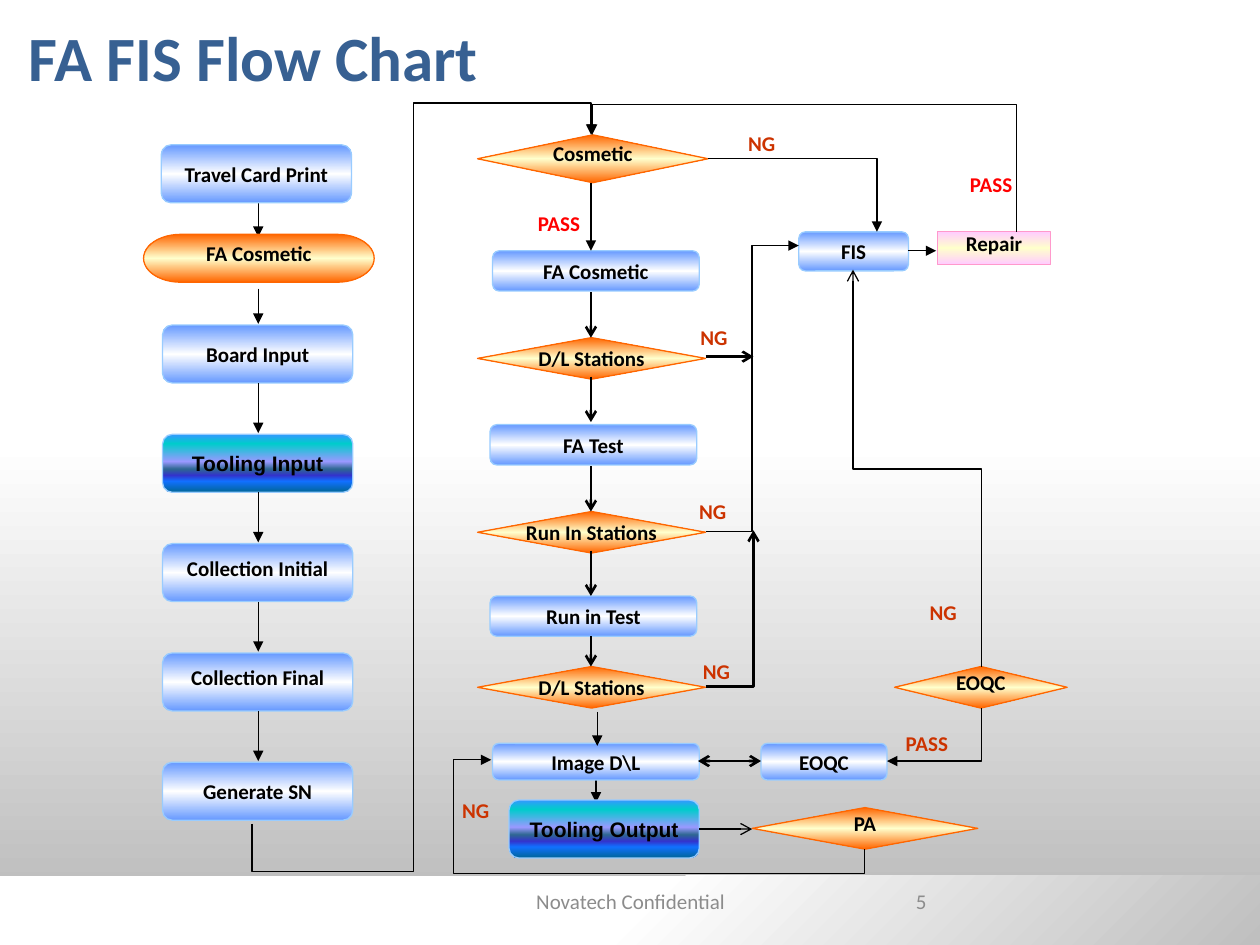
from collections import namedtuple

from lxml import etree
from pptx import Presentation
from pptx.dml.color import RGBColor
from pptx.enum.shapes import MSO_CONNECTOR, MSO_SHAPE
from pptx.enum.text import MSO_ANCHOR, PP_ALIGN
from pptx.oxml import parse_xml
from pptx.oxml.ns import nsdecls, qn
from pptx.util import Inches, Pt

BLACK = RGBColor(0x00, 0x00, 0x00)
WHITE = RGBColor(0xFF, 0xFF, 0xFF)
SILVER = RGBColor(0xBF, 0xBF, 0xBF)
FOOTER_GREY = RGBColor(0x8C, 0x8C, 0x8C)
TITLE_BLUE = RGBColor(0x37, 0x60, 0x92)
RED = RGBColor(0xFF, 0x00, 0x00)
BRICK = RGBColor(0xCC, 0x33, 0x00)
BLUE = RGBColor(0x66, 0x99, 0xFF)
SKY = RGBColor(0x99, 0xCC, 0xFF)
ORANGE = RGBColor(0xFF, 0x66, 0x00)
CREAM = RGBColor(0xFF, 0xFF, 0xCC)
PINK = RGBColor(0xFF, 0xCC, 0xFF)
ROSE = RGBColor(0xFF, 0x99, 0xCC)
TOOLING_STOPS = [
    (0, RGBColor(0x33, 0x99, 0xFF)), (16, RGBColor(0x00, 0xCC, 0xCC)),
    (47, RGBColor(0x99, 0x99, 0xFF)), (60, RGBColor(0x2E, 0x67, 0x92)),
    (71, RGBColor(0x33, 0x33, 0xCC)), (81, RGBColor(0x11, 0x70, 0xFF)),
    (100, RGBColor(0x00, 0x66, 0x99)),
]
BACKDROP_STOPS = [(0, SILVER), (50, WHITE)]
DOWNWARD = '<a:lin ang="5400000" scaled="0"/>'
UPWARD = '<a:lin ang="16200000" scaled="0"/>'
FROM_CORNER = '<a:path path="circle"><a:fillToRect l="100000" t="100000"/></a:path>'


def band(edge, middle):
    return [(0, edge), (50, middle), (100, edge)]


Style = namedtuple("Style", "geometry stops border font")
STEP = Style(MSO_SHAPE.ROUNDED_RECTANGLE, band(BLUE, WHITE), SKY, "Calibri")
TOOLING = Style(MSO_SHAPE.ROUNDED_RECTANGLE, TOOLING_STOPS, SKY, "Arial")
CHECK = Style(MSO_SHAPE.DIAMOND, band(ORANGE, CREAM), ORANGE, "Calibri")
TERMINAL = Style(MSO_SHAPE.FLOWCHART_TERMINATOR, band(ORANGE, CREAM), ORANGE, "Calibri")
REPAIR = Style(MSO_SHAPE.RECTANGLE, band(PINK, CREAM), ROSE, "Calibri")

STEP_TOP = 2.58
STEP_PITCH = (6.05 - STEP_TOP) / 4
MAIN_X = 4.69
NODES = [
    (STEP, "Travel Card Print", 1.28, 1.15, 1.51, 0.46, 1),
    (TERMINAL, "FA Cosmetic", 1.14, 1.86, 1.83, 0.38, 0.4),
    (CHECK, "Cosmetic", 3.79, 1.07, 1.83, 0.38, 0.4),
    (STEP, "FA Cosmetic", 3.91, 1.99, 1.64, 0.32, 1),
    (CHECK, "D/L Stations", 3.79, 2.68, 1.81, 0.33, 1),
    (STEP, "FA Test", 3.89, 3.37, 1.64, 0.32, 1),
    (CHECK, "Run In Stations", 3.79, 4.06, 1.81, 0.33, 1),
    (STEP, "Run in Test", 3.89, 4.73, 1.64, 0.32, 1),
    (CHECK, "D/L Stations", 3.79, 5.29, 1.81, 0.33, 1),
    (STEP, "Image D\\L", 3.91, 5.9, 1.64, 0.29, 1),
    (TOOLING, "Tooling Output", 4.04, 6.35, 1.51, 0.46, 1),
    (CHECK, "PA", 5.97, 6.41, 1.79, 0.33, 0.4),
    (STEP, "EOQC", 6.04, 5.9, 1, 0.29, 1),
    (CHECK, "EOQC", 7.1, 5.29, 1.37, 0.33, 0.4),
    (REPAIR, "Repair", 7.44, 1.84, 0.9, 0.26, 0.5),
    (STEP, "FIS", 6.34, 1.84, 0.87, 0.31, 1),
]
INPUT_STEPS = [(STEP, "Board Input", 1), (TOOLING, "Tooling Input", 1),
               (STEP, "Collection Initial", 0.5), (STEP, "Collection Final", 0.5),
               (STEP, "Generate SN", 1)]
LABELS = [
    ("NG", 5.84, 0.99, BRICK), ("NG", 5.46, 2.53, BRICK), ("NG", 5.45, 3.91, BRICK),
    ("NG", 5.48, 5.18, BRICK), ("NG", 7.28, 4.71, BRICK), ("NG", 3.57, 6.28, BRICK),
    ("PASS", 4.17, 1.62, RED), ("PASS", 7.6, 1.31, RED), ("PASS", 7.09, 5.75, BRICK),
]
ARROWS_UNDER_NODES = [[(2.05, 1.61), (2.05, 1.88)], [(4.73, 6.19), (4.73, 6.37)]]
# Each route lists its corner points, then line width and arrowhead.
ROUTES = [
    ([(2.05, 2.29), (2.05, 2.57)], 0.75, "triangle"),
    ([(MAIN_X, 1.45), (MAIN_X, 1.99)], 0.75, "triangle"),
    ([(MAIN_X, 5.05), (MAIN_X, 5.29)], 1.5, "arrow"),
    ([(4.74, 5.65), (4.74, 5.92)], 0.75, "triangle"),
    ([(7.21, 1.99), (7.43, 1.99)], 0.75, "triangle"),
    ([(5.55, 6.58), (5.97, 6.58)], 0.75, "arrow"),
    ([(5.6, 2.83), (5.98, 2.83)], 1.5, "arrow"),
    ([(5.62, 1.26), (6.96, 1.26), (6.96, 1.84)], 0.75, "triangle"),
    ([(5.6, 4.22), (5.97, 4.22), (5.97, 1.95), (6.34, 1.95)], 0.75, "triangle"),
    ([(2, 6.54), (2, 6.92), (3.28, 6.92), (3.28, 0.82), (4.69, 0.82), (4.69, 1.07)],
     0.75, "triangle"),
    ([(8.07, 1.84), (8.07, 0.83), (4.7, 0.83), (4.7, 1.07)], 0.75, "triangle"),
    ([(6.86, 6.74), (6.86, 6.93), (3.6, 6.93), (3.6, 6.03), (3.9, 6.03)], 0.75, "triangle"),
    ([(7.79, 5.62), (7.79, 6.04), (7.04, 6.04)], 1, "triangle"),
    ([(5.6, 5.45), (5.98, 5.45), (5.98, 4.21)], 1.5, "arrow"),
    ([(7.79, 5.29), (7.79, 3.72), (6.77, 3.72), (6.77, 2.14)], 0.75, "arrow"),
]


def set_gradient(shape, stops, direction):
    shape.fill.background()
    stop_xml = "".join(
        f'<a:gs pos="{pos * 1000}"><a:srgbClr val="{color}"/></a:gs>' for pos, color in stops)
    gradient = parse_xml(f'<a:gradFill {nsdecls("a")} rotWithShape="1">'
                         f'<a:gsLst>{stop_xml}</a:gsLst>{direction}</a:gradFill>')
    properties = shape.element.spPr
    properties.replace(properties.find(qn("a:noFill")), gradient)


def write(shape, text, color, size=12, font="Calibri", bold=True, align=PP_ALIGN.LEFT):
    shape.text_frame.text = text
    paragraph = shape.text_frame.paragraphs[0]
    paragraph.alignment = align
    face = paragraph.runs[0].font
    face.name, face.size, face.bold = font, Pt(size), bold
    face.color.rgb = color
    return paragraph


def add_backdrop(slide, top, height, direction):
    panel = slide.shapes.add_shape(
        MSO_SHAPE.RECTANGLE, 0, Inches(top), Inches(10), Inches(height))
    panel.shadow.inherit = False
    panel.line.fill.background()
    set_gradient(panel, BACKDROP_STOPS, direction)


def add_node(slide, style, text, left, top, width, height, line_spacing):
    node = slide.shapes.add_shape(
        style.geometry, Inches(left), Inches(top), Inches(width), Inches(height))
    node.shadow.inherit = False
    set_gradient(node, style.stops, DOWNWARD)
    node.line.color.rgb = style.border
    node.line.width = Pt(0.75)
    node.text_frame.word_wrap = False
    node.text_frame.vertical_anchor = MSO_ANCHOR.MIDDLE
    paragraph = write(node, text, BLACK, font=style.font, align=PP_ALIGN.CENTER)
    paragraph.line_spacing = line_spacing


def add_text(slide, text, left, top, width, height, color, anchor=MSO_ANCHOR.TOP, **look):
    box = slide.shapes.add_textbox(Inches(left), Inches(top), Inches(width), Inches(height))
    box.text_frame.word_wrap = True
    box.text_frame.vertical_anchor = anchor
    write(box, text, color, **look)


def add_route(slide, points, width=0.75, arrowhead="triangle", both_ends=False):
    """Connect the first point to the last, bending at the points between."""
    (x0, y0), (x1, y1) = points[0], points[-1]
    bends = len(points) - 2
    starts_vertical = bends > 0 and points[1][0] == x0
    begin, end = (x0, y0), (x1, y1)
    if starts_vertical:  # the unrotated frame, before a quarter turn clockwise
        mid_x, mid_y = (x0 + x1) / 2, (y0 + y1) / 2
        half_x, half_y = (y1 - y0) / 2, (x0 - x1) / 2
        begin = (mid_x - half_x, mid_y - half_y)
        end = (mid_x + half_x, mid_y + half_y)
    kind = MSO_CONNECTOR.ELBOW if bends else MSO_CONNECTOR.STRAIGHT
    route = slide.shapes.add_connector(kind, *(Inches(v) for v in begin + end))
    route.line.color.rgb = BLACK
    route.line.width = Pt(width)
    properties = route.element.spPr
    if starts_vertical:
        properties.find(qn("a:xfrm")).set("rot", "5400000")
    if bends:
        geometry = properties.find(qn("a:prstGeom"))
        geometry.set("prst", f"bentConnector{bends + 1}")
        guides = geometry.find(qn("a:avLst"))
        for number, (x, y) in enumerate(points[1:-2], 1):
            along_y = starts_vertical == (number % 2 == 1)
            share = (y - y0) / (y1 - y0) if along_y else (x - x0) / (x1 - x0)
            etree.SubElement(guides, qn("a:gd"), name=f"adj{number}",
                             fmla=f"val {round(share * 100000)}")
    outline = properties.find(qn("a:ln"))
    if both_ends:
        etree.SubElement(outline, qn("a:headEnd"), type=arrowhead)
    etree.SubElement(outline, qn("a:tailEnd"), type=arrowhead)
    etree.SubElement(properties, qn("a:effectLst"))


def add_title(slide, text):
    title = slide.shapes.title
    title.left, title.top, title.width, title.height = (
        Inches(v) for v in (0.13, 0.05, 8.58, 0.79))
    title.text_frame.vertical_anchor = MSO_ANCHOR.MIDDLE
    write(title, text, TITLE_BLUE, size=36)
    slide.shapes.element.append(title.element)  # bring in front of the backdrop


def main():
    deck = Presentation()
    deck.slide_width, deck.slide_height = Inches(10), Inches(7.5)
    slide = deck.slides.add_slide(deck.slide_layouts[5])
    add_backdrop(slide, 0, 7.03, UPWARD)
    add_backdrop(slide, 6.95, 0.55, FROM_CORNER)
    add_title(slide, "FA FIS Flow Chart")
    footer = {"color": FOOTER_GREY, "anchor": MSO_ANCHOR.MIDDLE, "bold": False}
    add_text(slide, "Novatech Confidential", 3.42, 6.95, 3.17, 0.4,
             align=PP_ALIGN.CENTER, **footer)
    add_text(slide, "5", 7.17, 6.95, 2.33, 0.4, **footer)

    for points in ARROWS_UNDER_NODES:
        add_route(slide, points)
    for node in NODES:
        add_node(slide, *node)
    for row, (style, text, line_spacing) in enumerate(INPUT_STEPS):
        top = STEP_TOP + row * STEP_PITCH
        add_node(slide, style, text, 1.29, top, 1.51, 0.46, line_spacing)
        if row:
            add_route(slide, [(2.05, top - STEP_PITCH + 0.46), (2.05, top - 0.01)])
    for top in (2.32, 2.99, 3.7, 4.37):
        add_route(slide, [(MAIN_X, top), (MAIN_X, top + 0.36)], 1.5, "arrow")
    for route in ROUTES:
        add_route(slide, *route)
    add_route(slide, [(5.54, 6.04), (6.04, 6.04)], 1.5, "arrow", both_ends=True)
    for text, left, top, color in LABELS:
        add_text(slide, text, left, top, 0.44 if text == "NG" else 0.6, 0.3, color)
    deck.save("out.pptx")


if __name__ == "__main__":
    main()
